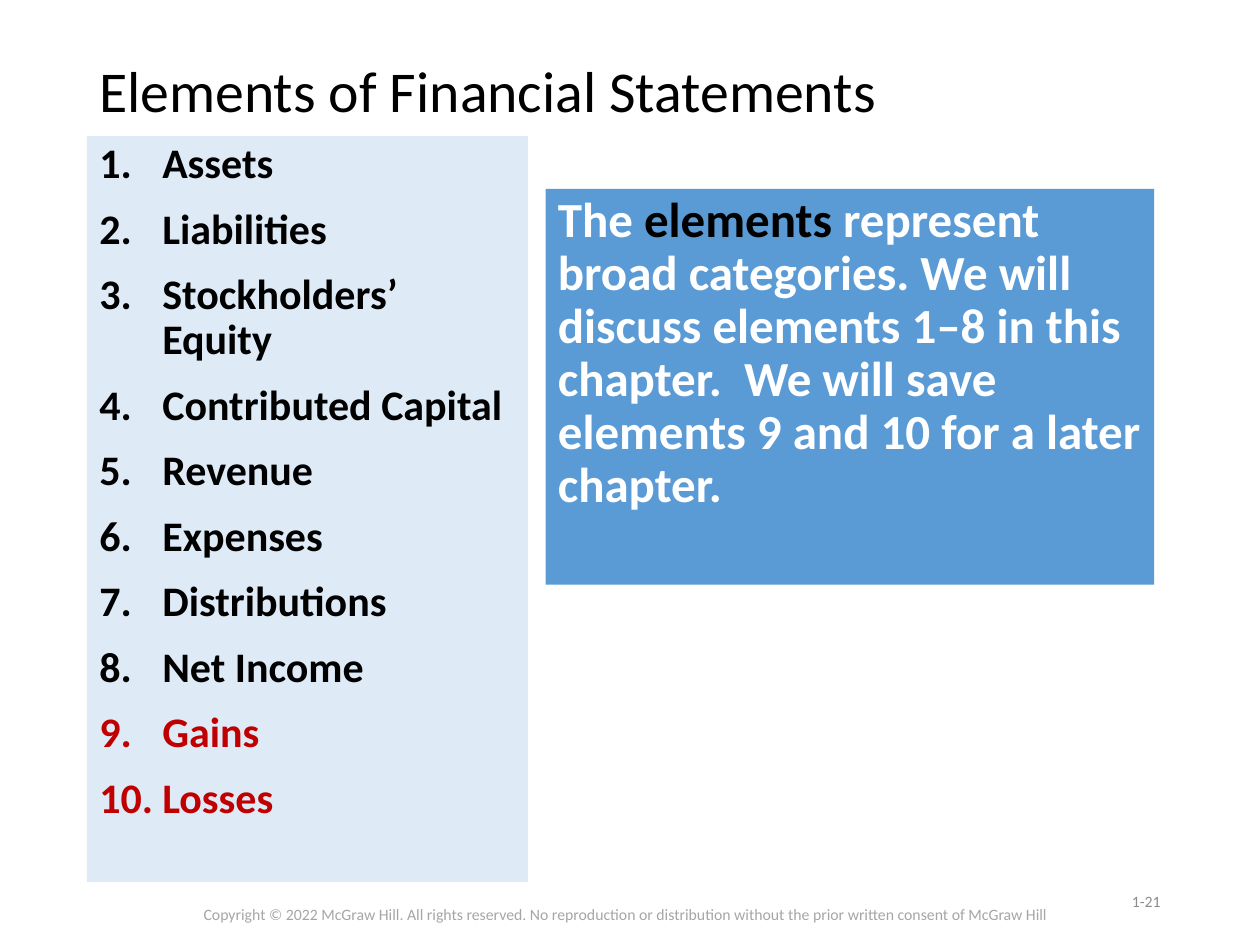
from dataclasses import dataclass

from lxml.etree import SubElement
from pptx import Presentation
from pptx.dml.color import RGBColor as RGB
from pptx.enum.text import MSO_ANCHOR as Anchor, PP_ALIGN as Align
from pptx.oxml.ns import qn
from pptx.slide import Slide
from pptx.text.text import TextFrame, _Paragraph as Para
from pptx.util import Inches, Pt


@dataclass(frozen=True)
class Theme:
    font: str = "Calibri"
    black: str = "000000"
    white: str = "FFFFFF"
    red: str = "C00000"
    pale: str = "DEEBF7"
    blue: str = "5B9BD5"
    gray: str = "8C8C8C"
    light: str = "A6A6A6"
    title: float = 33
    note: float = 28
    item: float = 24
    small: float = 9
    gap: float = 11.5
    line: float = 0.9


@dataclass(frozen=True)
class Box:
    left: float
    top: float
    width: float
    height: float
    fill: str | None = None
    anchor: Anchor = Anchor.TOP


@dataclass(frozen=True)
class Style:
    size: float
    color: str
    bold: bool = False
    line: float = 1.0
    align: Align = Align.LEFT


THEME = Theme()
TITLE = Box(0.69, 0.02, 8.62, 1.45, anchor=Anchor.MIDDLE)
LIST = Box(0.69, 1.08, 3.5, 5.92, THEME.pale)
NOTE = Box(4.33, 1.5, 4.83, 3.14, THEME.blue)
NUMBER = Box(7.06, 6.95, 2.25, 0.4, anchor=Anchor.MIDDLE)
FOOTER = Box(1, 7.03, 7.92, 0.45, anchor=Anchor.MIDDLE)

ELEMENTS = ["Assets", "Liabilities", "Stockholders’ Equity", "Contributed Capital",
            "Revenue", "Expenses", "Distributions", "Net Income", "Gains", "Losses"]
LATER = {"Gains", "Losses"}
MESSAGE = [
    ("The ", THEME.white),
    ("elements", THEME.black),
    (" represent broad categories. We will discuss elements 1–8 in this chapter."
     "  We will save elements 9 and 10 for a later chapter.", THEME.white),
]
RIGHTS = ("Copyright © 2022 McGraw Hill. All rights reserved. No reproduction or "
          "distribution without the prior written consent of McGraw Hill")


def add_box(slide: Slide, box: Box) -> TextFrame:
    shape = slide.shapes.add_textbox(*map(Inches, (box.left, box.top, box.width, box.height)))
    if box.fill:
        shape.fill.solid()
        shape.fill.fore_color.rgb = RGB.from_string(box.fill)
    frame = shape.text_frame
    frame.word_wrap = True
    frame.vertical_anchor = box.anchor
    return frame


def set_style(para: Para, style: Style) -> None:
    para.alignment = style.align
    para.line_spacing = style.line
    for run in para.runs:
        font = run.font
        font.name = THEME.font
        font.size = Pt(style.size)
        font.bold = style.bold
        font.color.rgb = RGB.from_string(style.color)


def set_number(para: Para, indent: float) -> None:
    """Give the paragraph an automatic number with a hanging indent."""
    props = para._p.get_or_add_pPr()
    props.set("marL", str(Inches(indent)))
    props.set("indent", str(-Inches(indent)))
    SubElement(props, qn("a:buFont"), typeface="+mj-lt")
    SubElement(props, qn("a:buAutoNum"), type="arabicPeriod")


def add_line(slide: Slide, box: Box, text: str, style: Style) -> None:
    frame = add_box(slide, box)
    frame.text = text
    set_style(frame.paragraphs[0], style)


def add_list(slide: Slide) -> None:
    frame = add_box(slide, LIST)
    frame.text = "\n".join(ELEMENTS)
    for row, para in enumerate(frame.paragraphs):
        set_number(para, 0.5)
        color = THEME.red if para.text in LATER else THEME.black
        set_style(para, Style(THEME.item, color, True, THEME.line))
        if row:
            para.space_before = Pt(THEME.gap)


def add_note(slide: Slide) -> None:
    para = add_box(slide, NOTE).paragraphs[0]
    for text, _ in MESSAGE:
        para.add_run().text = text
    set_style(para, Style(THEME.note, THEME.white, True, THEME.line))
    for run, (_, color) in zip(para.runs, MESSAGE):
        run.font.color.rgb = RGB.from_string(color)


def main() -> None:
    deck = Presentation()
    deck.slide_width, deck.slide_height = Inches(10), Inches(7.5)
    slide = deck.slides.add_slide(deck.slide_layouts[6])
    add_line(slide, TITLE, "Elements of Financial Statements",
             Style(THEME.title, THEME.black, line=THEME.line))
    add_list(slide)
    add_note(slide)
    add_line(slide, NUMBER, "1-21", Style(THEME.small, THEME.gray, align=Align.RIGHT))
    add_line(slide, FOOTER, RIGHTS, Style(THEME.small, THEME.light, align=Align.CENTER))
    deck.save("out.pptx")


if __name__ == "__main__":
    main()
